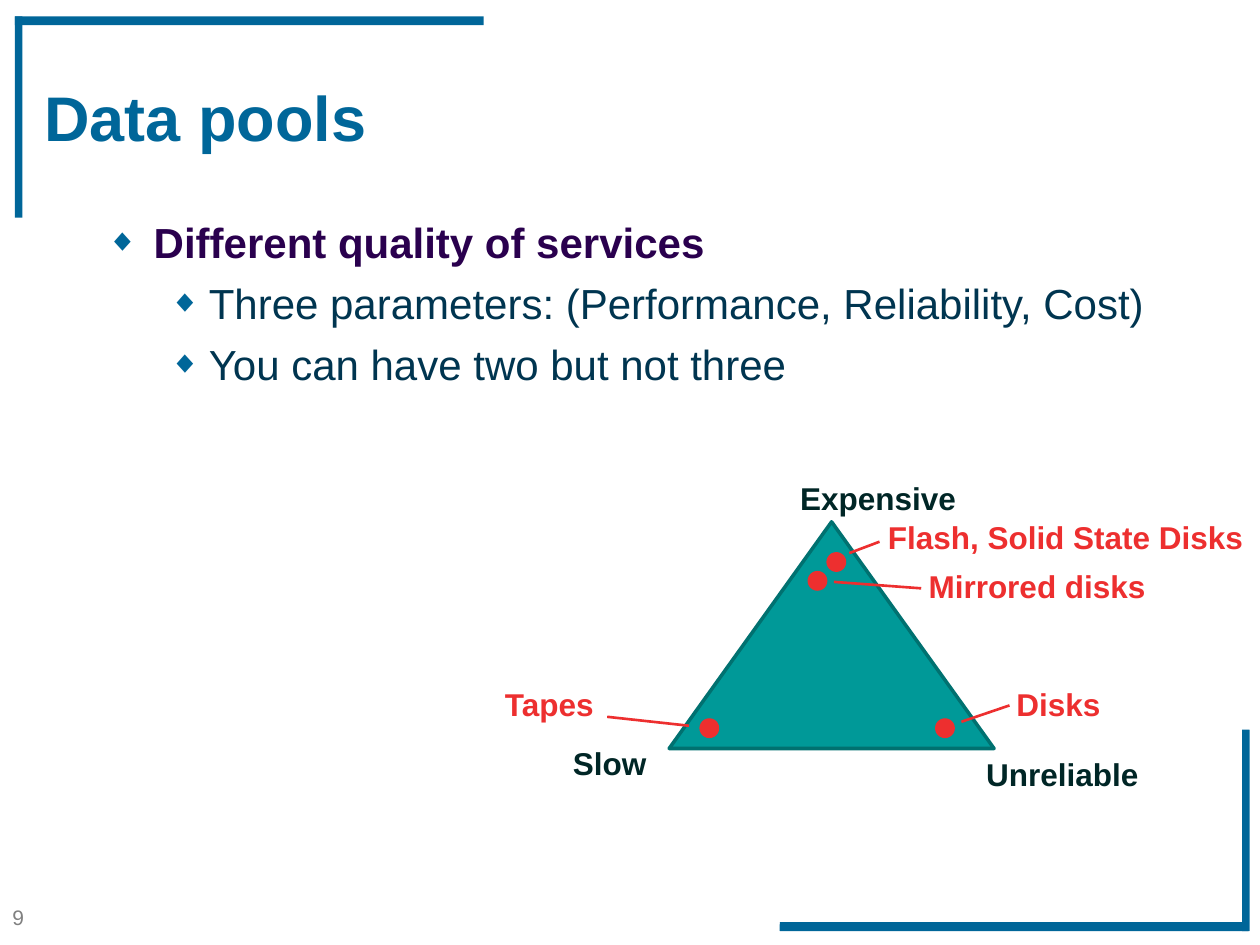
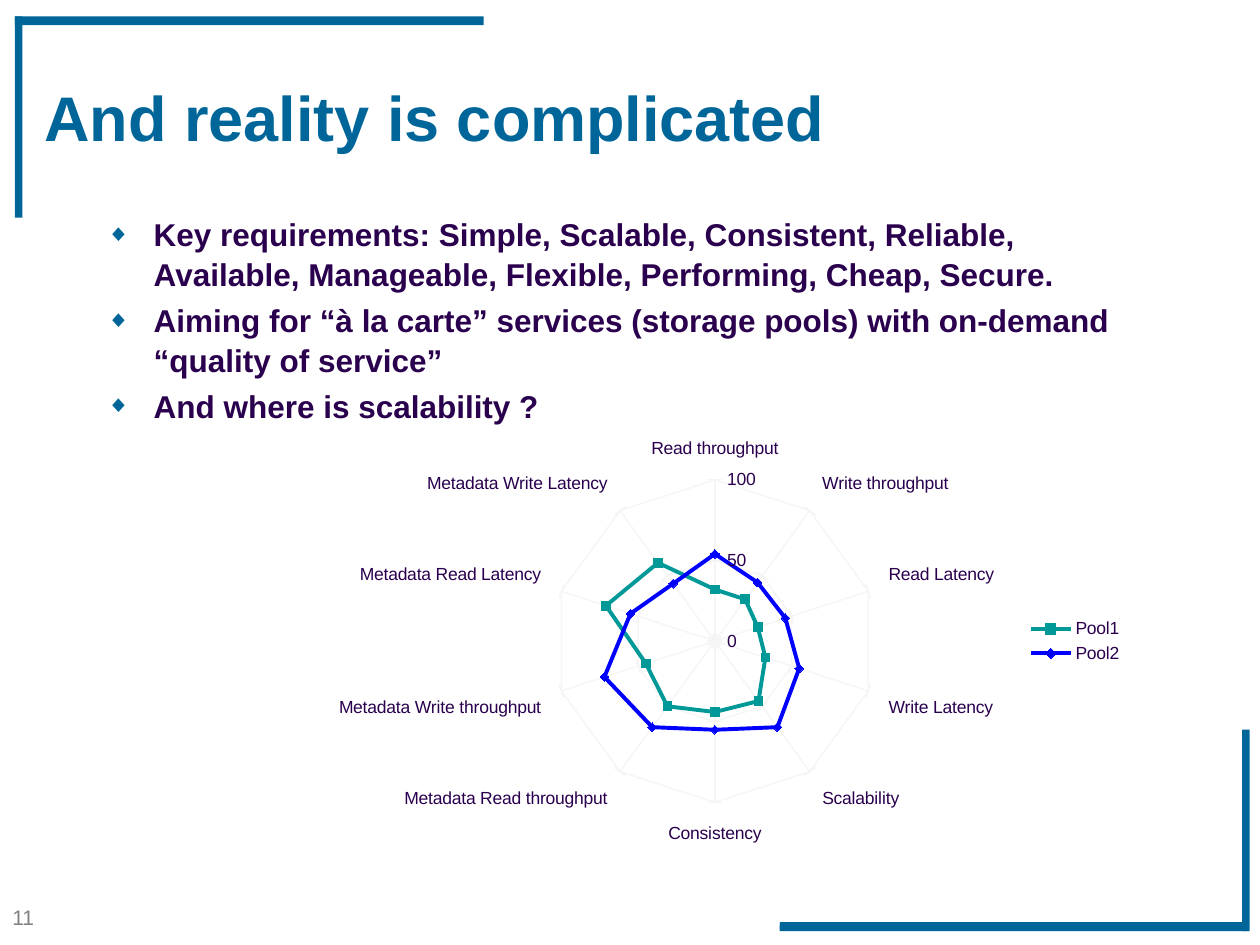
from lxml import etree
from pptx import Presentation
from pptx.chart.data import CategoryChartData as ChartData
from pptx.dml.color import RGBColor
from pptx.enum.chart import XL_CHART_TYPE as Kind, XL_LEGEND_POSITION as Side
from pptx.enum.chart import XL_MARKER_STYLE as Mark, XL_TICK_MARK as Tick
from pptx.enum.shapes import MSO_CONNECTOR as Link, MSO_SHAPE as Form
from pptx.enum.text import MSO_ANCHOR as Anchor, MSO_AUTO_SIZE as Auto, PP_ALIGN as Align
from pptx.oxml import parse_xml
from pptx.oxml.ns import nsdecls, qn
from pptx.util import Cm, Pt

BLUE = RGBColor(0x00, 0x66, 0x99)
GRAY = RGBColor(0x80, 0x80, 0x80)
PLUM = RGBColor(0x2A, 0x00, 0x4E)
NAVY = RGBColor(0x00, 0x35, 0x50)
TEAL = RGBColor(0x00, 0x99, 0x98)
EDGE = RGBColor(0x00, 0x71, 0x70)
DARK = RGBColor(0x00, 0x26, 0x26)
RED = RGBColor(0xED, 0x2F, 0x2F)
VIVID = RGBColor(0x00, 0x00, 0xFF)
PALE = RGBColor(0xF5, 0xF5, 0xF5)
FONT = "Arial"

# Frame bars: left, top, width, height, corner rounding
BARS = [
    (0.3, 0.33, 0.15, 4.06, 0.03),
    (0.3, 0.33, 9.45, 0.18, 0.02),
    (25.04, 14.71, 0.15, 4.06, 0.03),
    (15.72, 18.59, 9.45, 0.18, 0.02),
]

# Slides: number, title, text size, (level, text) points
PAGES = [
    (9, "Data pools", 24, [
        (0, "Different quality of services"),
        (1, "Three parameters: (Performance, Reliability, Cost)"),
        (1, "You can have two but not three"),
    ]),
    (11, "And reality is complicated", 18, [
        (0, "Key requirements: Simple, Scalable, Consistent, Reliable, "
            "Available, Manageable, Flexible, Performing, Cheap, Secure."),
        (0, "Aiming for “à la carte” services (storage pools) with "
            "on-demand “quality of service”"),
        (0, "And where is scalability ?"),
    ]),
]


def write(par, text, size=18, color=DARK, bold=False):
    run = par.add_run()
    run.text = text
    font = run.font
    font.name, font.size, font.bold = FONT, Pt(size), bold
    font.color.rgb = color


def label(slide, x, y, w, h, text, **form):
    """Add a one-line text box that fits its text."""
    frame = slide.shapes.add_textbox(Cm(x), Cm(y), Cm(w), Cm(h)).text_frame
    frame.word_wrap = False
    frame.auto_size = Auto.SHAPE_TO_FIT_TEXT
    write(frame.paragraphs[0], text, **form)


deck = Presentation()
deck.slide_width, deck.slide_height = Cm(25.4), Cm(19.05)

# Frame, title and bullets of both slides
for num, head, size, points in PAGES:
    slide = deck.slides.add_slide(deck.slide_layouts[5])
    label(slide, 0, 18.11, 1.04, 0.76, str(num), size=12, color=GRAY)
    for x, y, w, h, curve in BARS:
        bar = slide.shapes.add_shape(Form.ROUNDED_RECTANGLE, Cm(x), Cm(y), Cm(w), Cm(h))
        bar.adjustments[0] = curve
        bar.shadow.inherit = False
        bar.fill.solid()
        bar.fill.fore_color.rgb = BLUE
        bar.line.fill.background()

    title = slide.shapes.title
    title.left, title.top, title.width, title.height = Cm(0.64), Cm(0.56), Cm(24.76), Cm(3.56)
    title.text_frame.vertical_anchor = Anchor.MIDDLE
    par = title.text_frame.paragraphs[0]
    par.alignment = Align.LEFT
    write(par, head, size=36, color=BLUE, bold=True)

    body = slide.shapes.add_textbox(Cm(1.9), Cm(4.18), Cm(21.6), Cm(12.34)).text_frame
    body.word_wrap = True
    for i, (level, text) in enumerate(points):
        par = body.add_paragraph() if i else body.paragraphs[0]
        par.level = level
        props = par._p.get_or_add_pPr()
        props.set("marL", str(Cm((0.95, 2.06)[level])))
        props.set("indent", str(-Cm((0.95, 0.8)[level])))
        tint = etree.SubElement(props, qn("a:buClr"))
        etree.SubElement(tint, qn("a:srgbClr"), val=str(BLUE))
        etree.SubElement(props, qn("a:buSzPct"), val="75000")
        etree.SubElement(props, qn("a:buFont"), typeface=FONT)
        etree.SubElement(props, qn("a:buChar"), char="◆")
        par.line_spacing = 1.05
        if i:
            par.space_before = Pt(size * 0.2)
        write(par, text, size=size, color=(PLUM, NAVY)[level], bold=level == 0)

pools, real = deck.slides

# Triangle of trade-offs
tri = pools.shapes.add_shape(Form.ISOSCELES_TRIANGLE, Cm(13.49), Cm(10.52), Cm(6.55), Cm(4.57))
tri.shadow.inherit = False
tri.fill.solid()
tri.fill.fore_color.rgb = TEAL
tri.line.color.rgb = EDGE
tri.line.width = Pt(2)

for x, y, w, text, color in [
    (11.3, 14.88, 2.01, "Slow", DARK),
    (15.88, 9.53, 3.68, "Expensive", DARK),
    (19.63, 15.09, 3.61, "Unreliable", DARK),
    (9.93, 13.69, 2.31, "Tapes", RED),
    (20.24, 13.69, 2.24, "Disks", RED),
    (17.65, 10.31, 7.75, "Flash, Solid State Disks", RED),
    (18.47, 11.3, 4.93, "Mirrored disks", RED),
]:
    label(pools, x, y, w, 1.02, text, color=color, bold=True)

for x, y in [(16.28, 11.51), (14.1, 14.48), (16.66, 11.13), (18.85, 14.48)]:
    dot = pools.shapes.add_shape(Form.OVAL, Cm(x), Cm(y), Cm(0.4), Cm(0.4))
    dot.shadow.inherit = False
    dot.fill.solid()
    dot.fill.fore_color.rgb = RED
    dot.line.fill.background()

for ends in [
    (12.24, 14.45, 13.89, 14.63),
    (17.12, 11.15, 17.73, 10.92),
    (16.81, 11.73, 18.57, 11.86),
    (19.38, 14.55, 20.35, 14.22),
]:
    line = pools.shapes.add_connector(Link.STRAIGHT, *map(Cm, ends))
    line.line.color.rgb = RED
    line.line.width = Pt(1.5)
    etree.SubElement(line._element.spPr, qn("a:effectLst"))

# Radar chart of the two pools
data = ChartData()
data.categories = [
    "Read throughput", "Write throughput", "Read Latency", "Write Latency",
    "Scalability", "Consistency", "Metadata Read throughput",
    "Metadata Write throughput", "Metadata Read Latency", "Metadata Write Latency",
]
data.add_series("Pool1", [32, 32, 28, 33, 46, 44, 50, 45, 71, 60])
data.add_series("Pool2", [54, 45, 46, 55, 66, 55, 66, 72, 55, 44])
chart = real.shapes.add_chart(
    Kind.RADAR_MARKERS, Cm(6.1), Cm(8.53), Cm(16.79), Cm(8.79), data).chart
chart.has_title = False
chart.font.name, chart.font.size = FONT, Pt(10)
chart.font.color.rgb = PLUM
chart.has_legend = True
chart.legend.position = Side.RIGHT
chart.legend.include_in_layout = False

for axis, tick in [(chart.category_axis, Tick.OUTSIDE), (chart.value_axis, Tick.CROSS)]:
    axis.has_major_gridlines = True
    axis.major_gridlines.format.line.color.rgb = PALE
    axis.format.line.color.rgb = PALE
    axis.major_tick_mark = tick
scale = chart.value_axis
scale.minimum_scale, scale.maximum_scale, scale.major_unit = 0, 100, 50

plot = chart.plots[0]
plot.vary_by_categories = False
for pool, color, style in zip(plot.series, (TEAL, VIVID), (Mark.SQUARE, Mark.DIAMOND)):
    pool.smooth = False
    pool.format.line.color.rgb = color
    pool.format.line.width = Pt(2.25)
    pool.marker.style, pool.marker.size = style, 5
    pool.marker.format.fill.solid()
    pool.marker.format.fill.fore_color.rgb = color
    pool.marker.format.line.color.rgb = color

area = chart._chartSpace.chart.plotArea
for old in area.findall(qn("c:layout")):
    area.remove(old)
area.insert(0, parse_xml(
    f'<c:layout {nsdecls("c")}><c:manualLayout><c:layoutTarget val="inner"/>'
    '<c:xMode val="edge"/><c:yMode val="edge"/><c:x val="0.3"/><c:y val="0.13"/>'
    '<c:w val="0.39"/><c:h val="0.74"/></c:manualLayout></c:layout>'))

deck.save("out.pptx")
